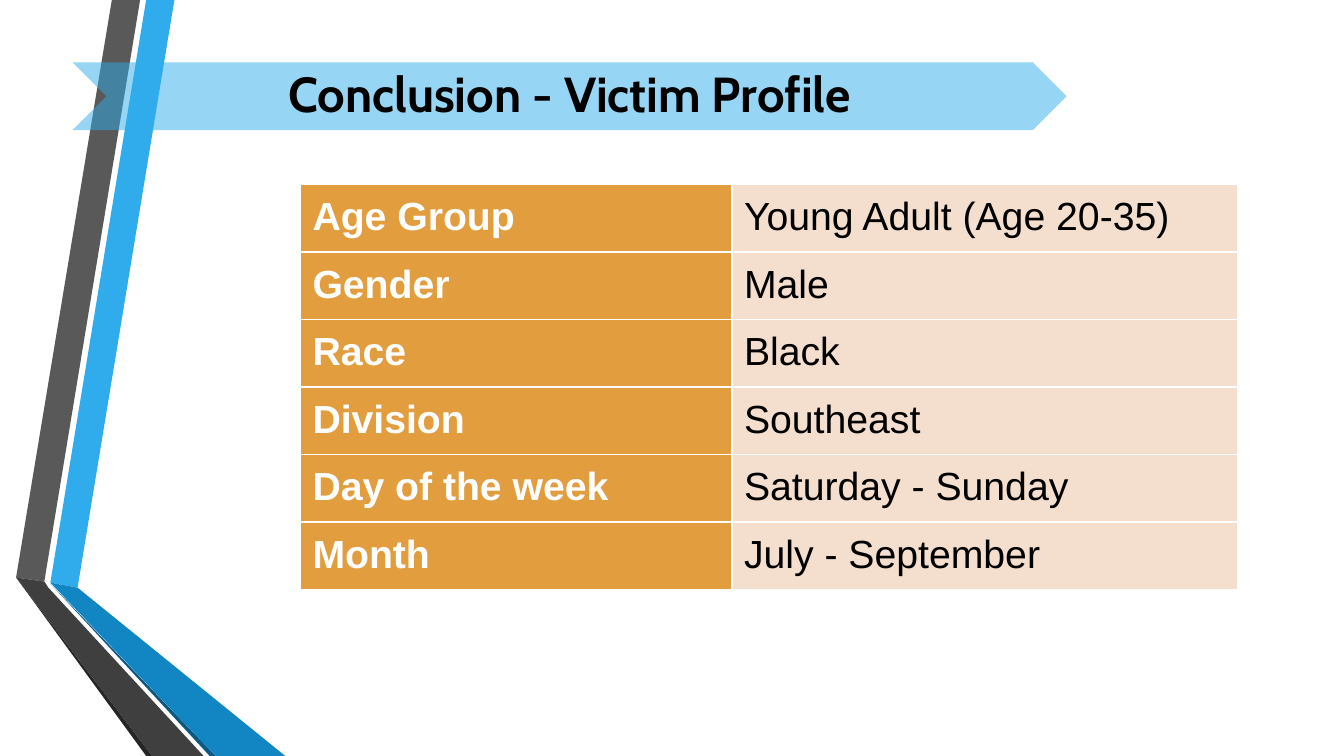
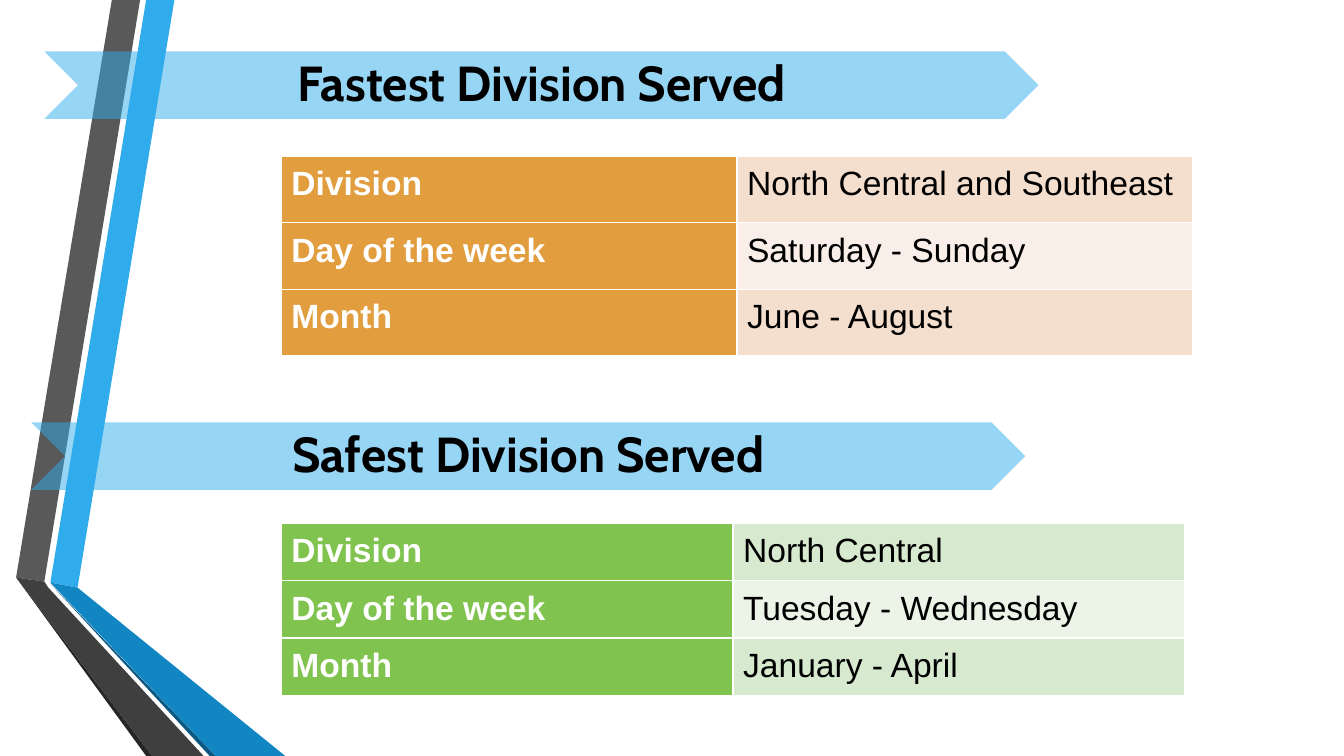
from dataclasses import dataclass

from lxml import etree
from pptx import Presentation
from pptx.dml.color import RGBColor
from pptx.enum.shapes import MSO_SHAPE
from pptx.enum.text import MSO_ANCHOR, MSO_AUTO_SIZE, PP_ALIGN
from pptx.oxml.ns import qn
from pptx.util import Inches, Pt

CHEVRON = MSO_SHAPE.CHEVRON
CENTER = PP_ALIGN.CENTER
MIDDLE = MSO_ANCHOR.MIDDLE
NO_FIT = MSO_AUTO_SIZE.NONE


@dataclass(frozen=True)
class Theme:
    white: str = "FFFFFF"
    black: str = "000000"
    blue: str = "30ACEC"
    blue_dark: str = "1186C3"
    blue_deep: str = "0B5982"
    grey: str = "595959"
    grey_dark: str = "3F3F3F"
    grey_deep: str = "262626"
    orange: tuple = ("E29D3E", "F4DECD", "FAEFE8")
    green: tuple = ("80C34F", "D7E9CF", "ECF4E8")
    heading_font: str = "Cabin"
    body_font: str = "Arial"
    heading_size: float = 35.1
    large: int = 28
    medium: int = 24


THEME = Theme()

RIBBONS = [
    (THEME.blue, [(0.5, 5.78), (0.77, 5.83), (1.73, 0), (1.45, 0)]),
    (THEME.grey, [(1.39, 0), (1.11, 0), (0.16, 5.73), (0.44, 5.77)]),
    (THEME.grey_deep, [(0.16, 5.73), (1.45, 7.5), (1.51, 7.5)]),
    (THEME.blue_deep, [(0.5, 5.79), (2.08, 7.5), (2.14, 7.5)]),
    (THEME.blue_dark, [(0.5, 5.78), (2.14, 7.5), (2.83, 7.5), (0.77, 5.83)]),
    (THEME.grey_dark, [(2.02, 7.5), (0.48, 5.83), (0.44, 5.77), (0.16, 5.73), (1.51, 7.5)]),
]


class Deck:
    def __init__(self, theme):
        self.theme = theme
        self.prs = Presentation()
        self.prs.slide_width = Inches(13.33)
        self.prs.slide_height = Inches(7.5)
        self.s = None

    def slide(self):
        self.s = self.prs.slides.add_slide(self.prs.slide_layouts[5])
        for color, points in RIBBONS:
            self.ribbon(color, points)

    def paint(self, sp, color):
        sp.shadow.inherit = False
        sp.fill.solid()
        sp.fill.fore_color.rgb = RGBColor.from_string(color)
        sp.line.fill.background()

    def ribbon(self, color, points):
        start, *rest = [(Inches(x), Inches(y)) for x, y in points]
        builder = self.s.shapes.build_freeform(*start)
        builder.add_line_segments(rest, close=True)
        self.paint(builder.convert_to_shape(), color)

    def style(self, p, font, size, color, bold):
        p.font.name = font
        p.font.size = Pt(size)
        p.font.bold = bold
        p.font.color.rgb = RGBColor.from_string(color)

    def banner(self, left, top):
        sp = self.s.shapes.add_shape(
            CHEVRON, Inches(left), Inches(top), Inches(9.86), Inches(0.67))
        self.paint(sp, self.theme.blue)
        color = sp.fill._xPr.find(qn("a:solidFill"))[0]
        etree.SubElement(color, qn("a:alpha"), val="50000")
        return sp

    def heading_text(self, sp, text):
        tf = sp.text_frame
        tf.text = text
        tf.word_wrap = True
        tf.auto_size = NO_FIT
        tf.vertical_anchor = MIDDLE
        p = tf.paragraphs[0]
        p.alignment = CENTER
        p.line_spacing = 0.9
        self.style(p, self.theme.heading_font, self.theme.heading_size,
                   self.theme.black, True)

    def title(self, text, left, top):
        sp = self.banner(left, top)
        title = self.s.shapes.title
        title.left, title.top = sp.left, sp.top
        title.width, title.height = sp.width, sp.height
        self.heading_text(title, text)
        sp.element.addnext(title.element)

    def subtitle(self, text, left, top):
        self.heading_text(self.banner(left, top), text)

    def borders(self, cell):
        tcPr = cell._tc.get_or_add_tcPr()
        for i, side in enumerate(("lnL", "lnR", "lnT", "lnB")):
            ln = etree.Element(qn(f"a:{side}"), w=str(Pt(1)))
            fill = etree.SubElement(ln, qn("a:solidFill"))
            etree.SubElement(fill, qn("a:srgbClr"), val=self.theme.white)
            tcPr.insert(i, ln)

    def cell(self, cell, text, size, fill, color, bold, margins):
        cell.text = text
        cell.margin_left = cell.margin_right = Inches(margins[0])
        cell.margin_top = cell.margin_bottom = Inches(margins[1])
        cell.fill.solid()
        cell.fill.fore_color.rgb = RGBColor.from_string(fill)
        self.borders(cell)
        self.style(cell.text_frame.paragraphs[0], self.theme.body_font, size, color, bold)

    def table(self, rows, left, top, widths, row_height, size, palette, margins):
        frame = self.s.shapes.add_table(
            len(rows), len(widths), Inches(left), Inches(top),
            Inches(sum(widths)), Inches(row_height * len(rows)))
        table = frame.table
        table.first_row = table.horz_banding = False
        for column, width in zip(table.columns, widths):
            column.width = Inches(width)
        label_fill, *bands = palette
        for i, (label, value) in enumerate(rows):
            table.rows[i].height = Inches(row_height)
            self.cell(table.cell(i, 0), label, size, label_fill,
                      self.theme.white, True, margins)
            self.cell(table.cell(i, 1), value, size, bands[i % len(bands)],
                      self.theme.black, False, margins)


def main():
    deck = Deck(THEME)

    deck.slide()
    deck.table([
        ("Age Group", "Young Adult (Age 20-35)"),
        ("Gender", "Male"),
        ("Race", "Black"),
        ("Division", "Southeast"),
        ("Day of the week", "Saturday - Sunday"),
        ("Month", "July - September"),
    ], 2.98, 1.83, (4.28, 5.02), 0.67, THEME.large, THEME.orange[:2], (0.12, 0.11))
    deck.title("Conclusion - Victim Profile", 0.72, 0.62)

    deck.slide()
    deck.table([
        ("Division", "North Central and Southeast"),
        ("Day of the week", "Saturday - Sunday"),
        ("Month", "June - August"),
    ], 2.79, 1.55, (4.52, 4.52), 0.66, THEME.medium, THEME.orange, (0.1, 0.09))
    deck.table([
        ("Division", "North Central"),
        ("Day of the week", "Tuesday - Wednesday"),
        ("Month", "January - April"),
    ], 2.79, 5.19, (4.48, 4.48), 0.57, THEME.medium, THEME.green, (0.1, 0.09))
    deck.title("Fastest Division Served", 0.44, 0.51)
    deck.subtitle("Safest Division Served", 0.31, 4.19)

    deck.prs.save("out.pptx")


if __name__ == "__main__":
    main()
